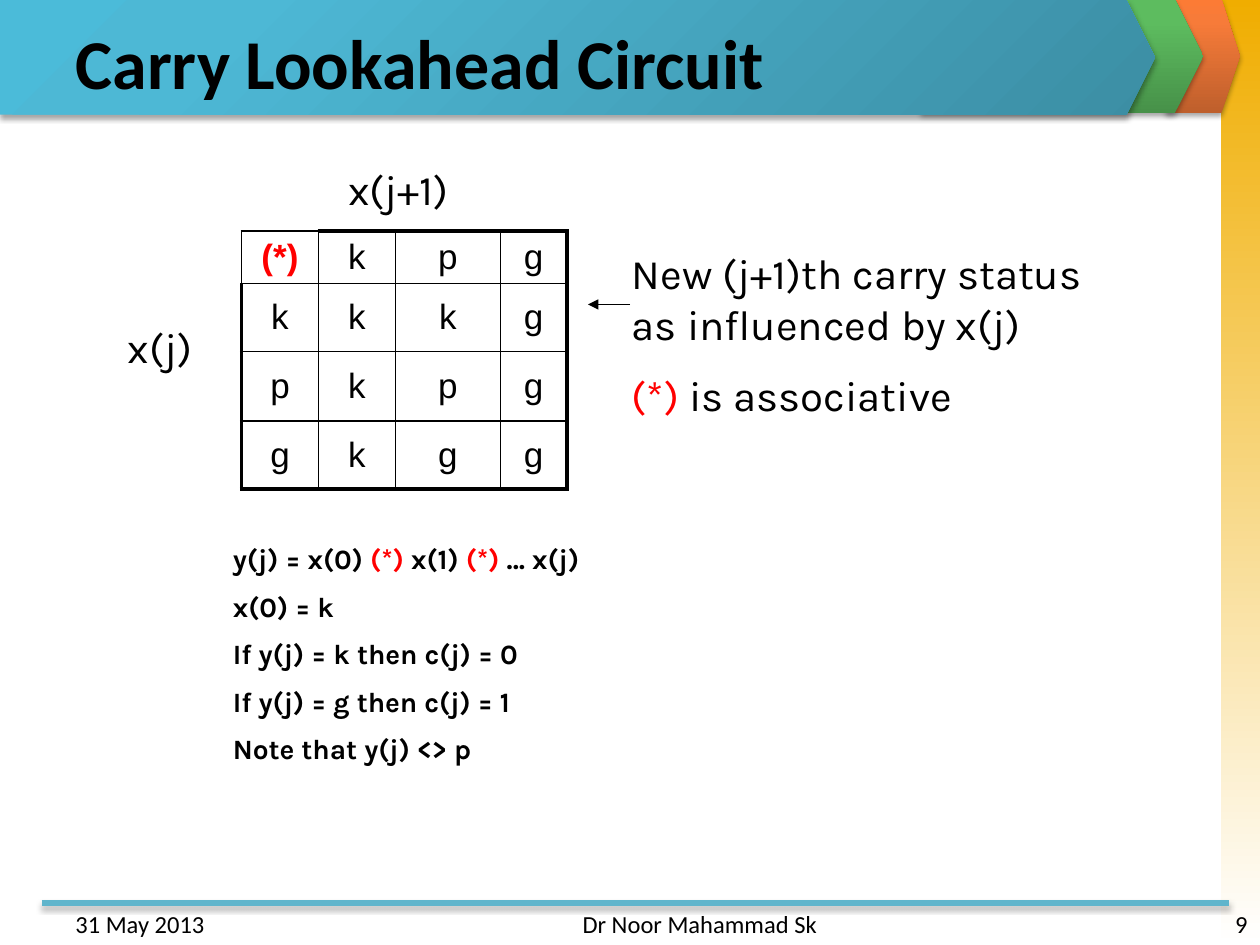
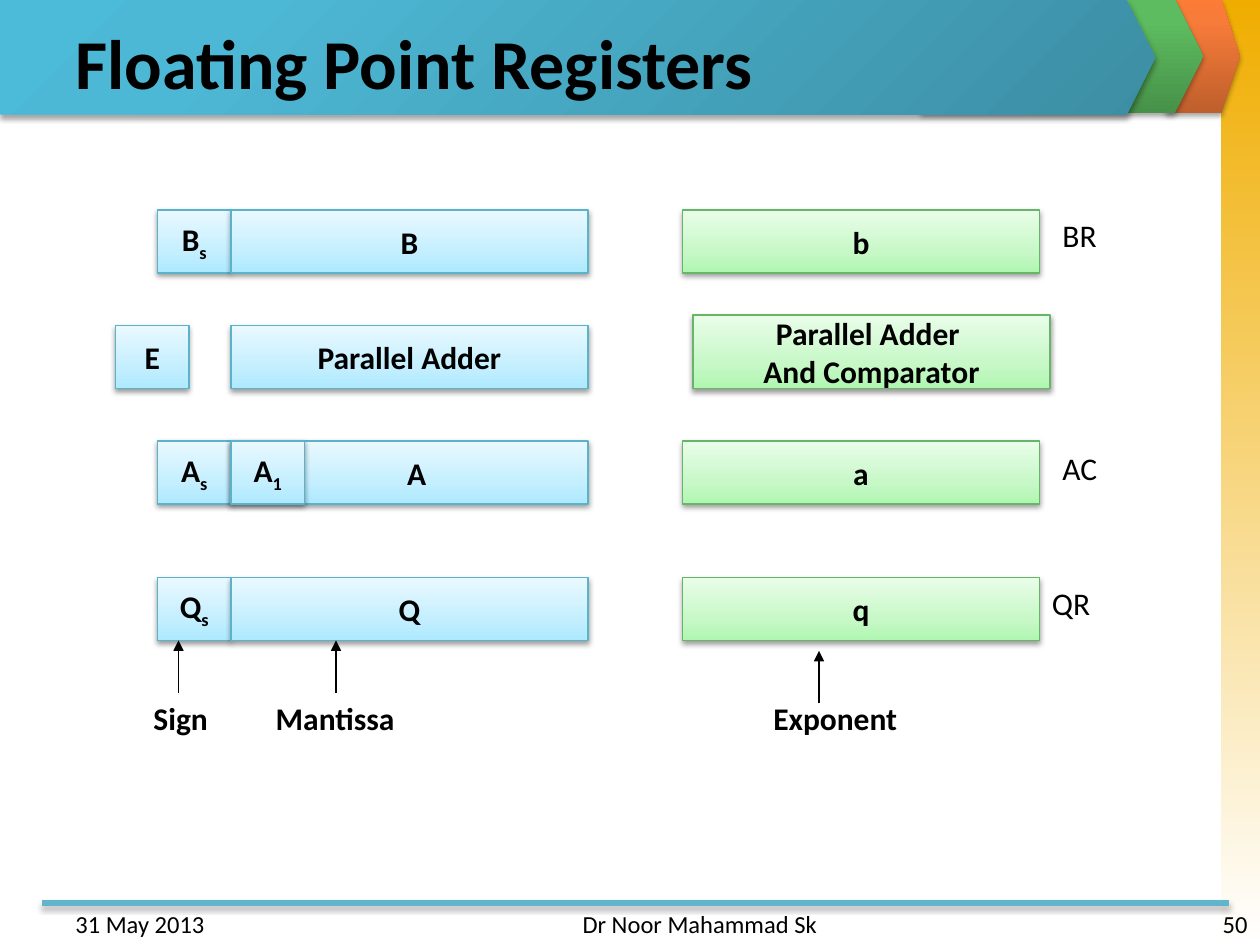
from lxml.etree import SubElement
from pptx import Presentation
from pptx.dml.color import RGBColor
from pptx.enum.shapes import MSO_CONNECTOR, MSO_SHAPE
from pptx.enum.text import MSO_ANCHOR, MSO_AUTO_SIZE, PP_ALIGN
from pptx.oxml.ns import qn
from pptx.util import Pt

# Colours and gradients (stops as percent, colour)
BLACK = RGBColor(0x00, 0x00, 0x00)
RED = RGBColor(0xFF, 0x00, 0x00)
TEAL = RGBColor(0x60, 0xB5, 0xCC)
BLUE_EDGE = RGBColor(0x5B, 0xB3, 0xCA)
GREEN_EDGE = RGBColor(0x67, 0xB5, 0x69)


def stops(*pairs):
    return [(position, RGBColor.from_string(code)) for position, code in pairs]


GOLD_FADE = stops((0, "F0AD00"), (100, "FFFFFF"))
ORANGE_BAND = stops((0, "BE5F2C"), (80, "F77B39"), (100, "FC7B35"))
GREEN_BAND = stops((0, "479149"), (80, "5DBC5F"), (100, "5BBF5E"))
TEAL_BAND = stops((0, "3C8EA4"), (80, "4DB8D5"), (100, "4BBBD9"))
BLUE_BOX = stops((0, "ADE9FF"), (35, "C5EFFF"), (100, "E9F9FF")), BLUE_EDGE
GREEN_BOX = stops((0, "B0F6B1"), (35, "C8F8C8"), (100, "E9FDE9")), GREEN_EDGE

# Shared content: gradient, angle (None = radial), left, top, width, height
ARROW_BANDS = [
    (ORANGE_BAND, 270, 666, -0.7, 42.5, 65.5),
    (GREEN_BAND, 270, 526.3, -0.7, 161.3, 65.5),
    (TEAL_BAND, None, 0, 0, 660, 65.5),
]
DATE = "31 May 2013"
AUTHOR = "Dr Noor Mahammad Sk"

# Carry slide: a run is text, or (text, colour)
STAR = ("(*)", RED)
CARRY_TABLE = ["*kpg", "kkkg", "pkpg", "gkgg"]
COLUMN_WIDTHS = [44, 44, 60, 38]
ROW_HEIGHTS = [30, 39, 39.5, 39]
CARRY_NOTES = [  # left, top, width, height, size, bold, paragraphs
    (66, 180, 54, 36, 24, False, [["x(j)"]]),
    (192, 90, 96, 36, 24, False, [["x(j+1)"]]),
    (126, 306, 462, 142, 16, True, [
        ["y(j) = x(0)", (" (*)", RED), " x(1) ", STAR, " … x(j)"],
        ["x(0) = k"],
        ["If y(j) = k then c(j) = 0"],
        ["If y(j) = g then c(j) = 1"],
        ["Note that y(j) <> p"],
    ]),
    (354, 138, 300, 108, 24, False, [
        ["New (j+1)th carry status as influenced by x(j)"],
        [STAR, " is associative"],
    ]),
]

# Register slide
SIGN_LEFT, MANTISSA_LEFT, EXPONENT_LEFT = 90, 132, 390
SMALL, WIDE, BOX_HEIGHT = 42, 204, 36
LABEL_WIDTH = 40
REGISTERS = [  # top, letter, label, label left
    (120, "B", "BR", 600),
    (252, "A", "AC", 600),
    (330, "Q", "QR", 594),
]
ADDER_BOXES = [
    (BLUE_BOX, 66, 186, SMALL, BOX_HEIGHT, ["E"]),
    (BLUE_BOX, MANTISSA_LEFT, 186, WIDE, BOX_HEIGHT, ["Parallel Adder"]),
    (GREEN_BOX, 396, 180, WIDE, 42, ["Parallel Adder ", "And Comparator"]),
]
POINTERS = [  # name, left, width, arrow x, arrow start
    ("Sign", 80.6, 48, 102, 396),
    ("Mantissa", 150.5, 86, 192, 396),
    ("Exponent", 434.8, 88, 468, 402),
]
POINTER_LENGTH = 30


# Drawing helpers
def add_run(paragraph, text, size, font="Calibri", bold=False, color=BLACK, subscript=False):
    run = paragraph.add_run()
    run.text = text
    run.font.size, run.font.name, run.font.bold = Pt(size), font, bold
    run.font.color.rgb = color
    if subscript:
        run._r.get_or_add_rPr().set("baseline", "-25000")


def add_color(parent, color, opacity=100):
    node = SubElement(parent, qn("a:srgbClr"), val=str(color))
    if opacity < 100:
        SubElement(node, qn("a:alpha"), val=str(opacity * 1000))


def fill_gradient(shape, gradient, angle):
    shape.fill.background()
    properties = shape.element.spPr
    placeholder_fill = properties.find(qn("a:noFill"))
    fill = SubElement(properties, qn("a:gradFill"), rotWithShape="1")
    stop_list = SubElement(fill, qn("a:gsLst"))
    for position, color in gradient:
        add_color(SubElement(stop_list, qn("a:gs"), pos=str(position * 1000)), color)
    if angle is None:
        radial = SubElement(fill, qn("a:path"), {"path": "circle"})
        SubElement(radial, qn("a:fillToRect"), l="100000", t="100000")
    else:
        SubElement(fill, qn("a:lin"), ang=str(angle * 60000), scaled="0")
    properties.replace(placeholder_fill, fill)


def add_shadow(effects, opacity, distance):
    shadow = SubElement(effects, qn("a:outerShdw"), blurRad=str(Pt(3.1)),
                        dist=str(Pt(distance)), dir="5400000", rotWithShape="0")
    add_color(shadow, BLACK, opacity)


def add_box(slide, kind, gradient, angle, left, top, width, height,
            edge=None, shadow=None):
    shape = slide.shapes.add_shape(kind, Pt(left), Pt(top), Pt(width), Pt(height))
    fill_gradient(shape, gradient, angle)
    if edge is None:
        shape.line.fill.background()
    else:
        shape.line.color.rgb, shape.line.width = edge, Pt(0.75)
    shape.shadow.inherit = False
    if shadow:
        add_shadow(shape.element.spPr.find(qn("a:effectLst")), *shadow)
    return shape


def add_line(slide, x1, y1, x2, y2, color=BLACK, width=0.75, arrow=True):
    connector = slide.shapes.add_connector(
        MSO_CONNECTOR.STRAIGHT, Pt(x1), Pt(y1), Pt(x2), Pt(y2))
    connector.line.color.rgb, connector.line.width = color, Pt(width)
    properties = connector.element.spPr
    if arrow:
        SubElement(properties.find(qn("a:ln")), qn("a:tailEnd"), type="triangle")
    return SubElement(properties, qn("a:effectLst"))


def add_text(slide, left, top, width, height, paragraphs, size, font="Calibri",
             bold=False, align=PP_ALIGN.LEFT):
    box = slide.shapes.add_textbox(Pt(left), Pt(top), Pt(width), Pt(height))
    frame = box.text_frame
    frame.word_wrap = True
    for index, runs in enumerate(paragraphs):
        paragraph = frame.add_paragraph() if index else frame.paragraphs[0]
        paragraph.alignment = align
        if index:
            paragraph.space_before = Pt(size / 2)
        for run in runs:
            text, color = (run, BLACK) if isinstance(run, str) else run
            add_run(paragraph, text, size, font, bold, color)


def add_register_box(slide, style, left, top, width, height, lines,
                     subscript=None, shift=0):
    gradient, edge = style
    shape = add_box(slide, MSO_SHAPE.RECTANGLE, gradient, 270, left, top, width,
                    height, edge, (38, 1.6))
    frame = shape.text_frame
    frame.word_wrap = False
    frame.vertical_anchor = MSO_ANCHOR.MIDDLE
    frame.margin_left = Pt(7.2 + shift)
    for index, line in enumerate(lines):
        paragraph = frame.add_paragraph() if index else frame.paragraphs[0]
        paragraph.alignment = PP_ALIGN.CENTER
        add_run(paragraph, line, 18, bold=True)
        if subscript:
            add_run(paragraph, subscript, 18, bold=True, subscript=True)


def set_borders(cell, widths):
    properties = cell._tc.get_or_add_tcPr()
    for index, (side, width) in enumerate(zip("LRTB", widths)):
        line = SubElement(properties, qn("a:ln" + side), w=str(Pt(width)))
        add_color(SubElement(line, qn("a:solidFill")), BLACK)
        properties.insert(index, line)


def add_themed_slide(presentation, title_text, number):
    slide = presentation.slides.add_slide(presentation.slide_layouts[5])
    add_box(slide, MSO_SHAPE.RECTANGLE, GOLD_FADE, 90, 697.7, 0, 22.3, 540)
    for index, band in enumerate(ARROW_BANDS):
        if index == len(ARROW_BANDS) - 1:
            add_shadow(add_line(slide, 24, 516, 702, 516, TEAL, 3, False), 35, 1.8)
        shape = add_box(slide, MSO_SHAPE.PENTAGON, *band, shadow=(35, 1.8))
        shape.adjustments[0] = 0.25
    # Title goes in front of the bands
    title = slide.shapes.title
    slide.shapes.element.append(title.element)
    title.left, title.top, title.width, title.height = Pt(36), Pt(10), Pt(648), Pt(50)
    frame = title.text_frame
    frame.auto_size = MSO_AUTO_SIZE.NONE
    frame.vertical_anchor = MSO_ANCHOR.MIDDLE
    frame.paragraphs[0].alignment = PP_ALIGN.LEFT
    add_run(frame.paragraphs[0], title_text, 40, bold=True)
    # Footer
    add_text(slide, 36, 516, 168, 18, [[DATE]], 14)
    add_text(slide, 246, 516, 228, 18, [[AUTHOR]], 14, align=PP_ALIGN.RIGHT)
    add_text(slide, 552, 516, 168, 18, [[str(number)]], 14, align=PP_ALIGN.RIGHT)
    return slide


def add_carry_table(slide):
    rows, columns = len(ROW_HEIGHTS), len(COLUMN_WIDTHS)
    table = slide.shapes.add_table(
        rows, columns, Pt(138), Pt(132), Pt(sum(COLUMN_WIDTHS)), Pt(sum(ROW_HEIGHTS))).table
    table.first_row = table.horz_banding = False
    for column, width in zip(table.columns, COLUMN_WIDTHS):
        column.width = Pt(width)
    for r, (letters, height) in enumerate(zip(CARRY_TABLE, ROW_HEIGHTS)):
        table.rows[r].height = Pt(height)
        for c, letter in enumerate(letters):
            cell = table.cell(r, c)
            cell.fill.background()
            cell.vertical_anchor = MSO_ANCHOR.MIDDLE
            cell.margin_top = cell.margin_bottom = Pt(2.5)
            paragraph = cell.text_frame.paragraphs[0]
            paragraph.alignment = PP_ALIGN.CENTER
            corner = letter == "*"
            text, color = STAR if corner else (letter, BLACK)
            add_run(paragraph, text, 20, "Arial", corner, color)
            # Heavy outline everywhere except around the operator cell
            heavy = (c == 0 and r > 0, c == columns - 1, r == 0 and c > 0, r == rows - 1)
            set_borders(cell, [2.25 if edge else 1 for edge in heavy])


presentation = Presentation()
presentation.slide_width, presentation.slide_height = Pt(720), Pt(540)

# Carry lookahead slide
slide = add_themed_slide(presentation, "Carry Lookahead Circuit", 9)
add_carry_table(slide)
for left, top, width, height, size, bold, paragraphs in CARRY_NOTES:
    add_text(slide, left, top, width, height, paragraphs, size, "Karla", bold)
add_line(slide, 360, 174, 336, 174)

# Floating point slide
slide = add_themed_slide(presentation, "Floating Point Registers", 50)
for box in ADDER_BOXES:
    add_register_box(slide, *box)
for top, letter, label, label_left in REGISTERS:
    accumulator = letter == "A"
    add_register_box(slide, BLUE_BOX, SIGN_LEFT, top, SMALL, BOX_HEIGHT, [letter], "s")
    add_register_box(slide, BLUE_BOX, MANTISSA_LEFT, top, WIDE, BOX_HEIGHT, [letter],
                     shift=8 if accumulator else 0)
    if accumulator:
        add_register_box(slide, BLUE_BOX, MANTISSA_LEFT, top, SMALL, BOX_HEIGHT, [letter], "1")
    add_register_box(slide, GREEN_BOX, EXPONENT_LEFT, top, WIDE, BOX_HEIGHT, [letter.lower()])
    add_text(slide, label_left, top + accumulator, LABEL_WIDTH, 29, [[label]], 18)
for name, left, width, x, start in POINTERS:
    add_text(slide, left, 396, width, 29, [[name]], 18, bold=True)
    add_line(slide, x, start, x, start - POINTER_LENGTH)

presentation.save("out.pptx")
